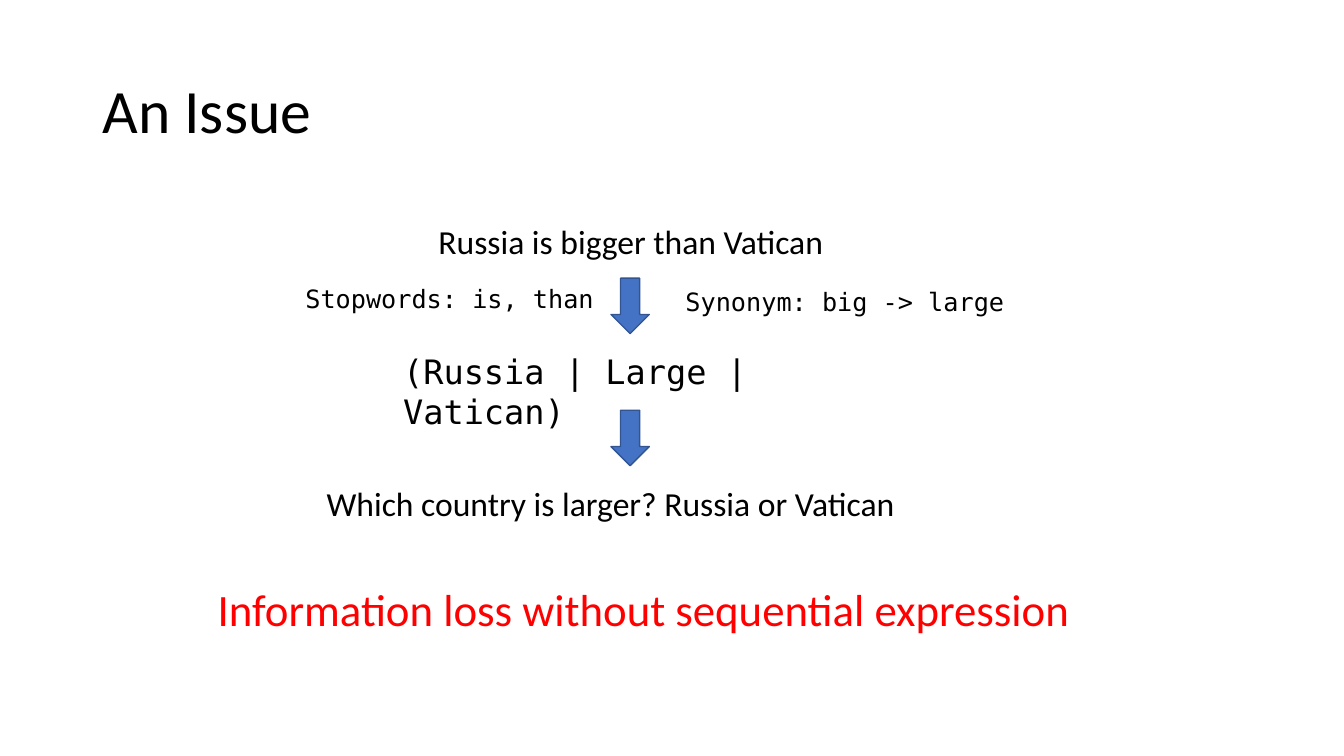
import pptx
import pptx.util
import pptx.dml.color
import pptx.enum.shapes
import pptx.enum.text

Inches = pptx.util.Inches
SANS = "Calibri"
MONO = "DejaVu Sans Mono"
COLORS = {"text": "000000", "alert": "FF0000", "arrow": "4472C4", "edge": "325491"}


def color(name):
    return pptx.dml.color.RGBColor.from_string(COLORS[name])


def add_text(slide, text, box, size, font=SANS, tint="text"):
    shape = slide.shapes.add_textbox(*map(Inches, box))
    frame = shape.text_frame
    frame.word_wrap = True
    frame.text = text
    run = frame.paragraphs[0].runs[0]
    run.font.size = pptx.util.Pt(size)
    run.font.name = font
    run.font.color.rgb = color(tint)
    return frame


def add_title(slide, text):
    frame = add_text(slide, text, (0.92, 0.4, 11.5, 1.45), 44)
    frame.vertical_anchor = pptx.enum.text.MSO_ANCHOR.MIDDLE
    frame.paragraphs[0].line_spacing = 0.9


def add_arrow(slide, top):
    kind = pptx.enum.shapes.MSO_SHAPE.DOWN_ARROW
    arrow = slide.shapes.add_shape(
        kind, Inches(6.06), Inches(top), Inches(0.38), Inches(0.55))
    arrow.shadow.inherit = False
    arrow.fill.solid()
    arrow.fill.fore_color.rgb = color("arrow")
    arrow.line.color.rgb = color("edge")
    arrow.line.width = pptx.util.Pt(1)


def main():
    deck = pptx.Presentation()
    deck.slide_width = Inches(13.33)
    deck.slide_height = Inches(7.5)
    slide = deck.slides.add_slide(deck.slide_layouts[6])

    add_title(slide, "An Issue")
    add_text(slide, "Russia is bigger than Vatican", (4.25, 2.14, 4.05, 0.5), 24)
    add_arrow(slide, 2.76)
    add_text(slide, "Stopwords: is, than", (2.93, 2.76, 3.51, 0.4), 18, MONO)
    add_text(slide, "Synonym: big -> large", (6.7, 2.79, 5.08, 0.4), 18, MONO)
    add_text(slide, "(Russia | Large | Vatican)", (3.9, 3.43, 5.03, 0.5), 24, MONO)
    add_arrow(slide, 4.07)
    add_text(slide, "Which country is larger? Russia or Vatican",
             (3.14, 4.74, 5.89, 0.5), 24)
    add_text(slide, "Information loss without sequential expression",
             (2.06, 5.72, 8.75, 0.64), 32, tint="alert")

    deck.save("out.pptx")


if __name__ == "__main__":
    main()
